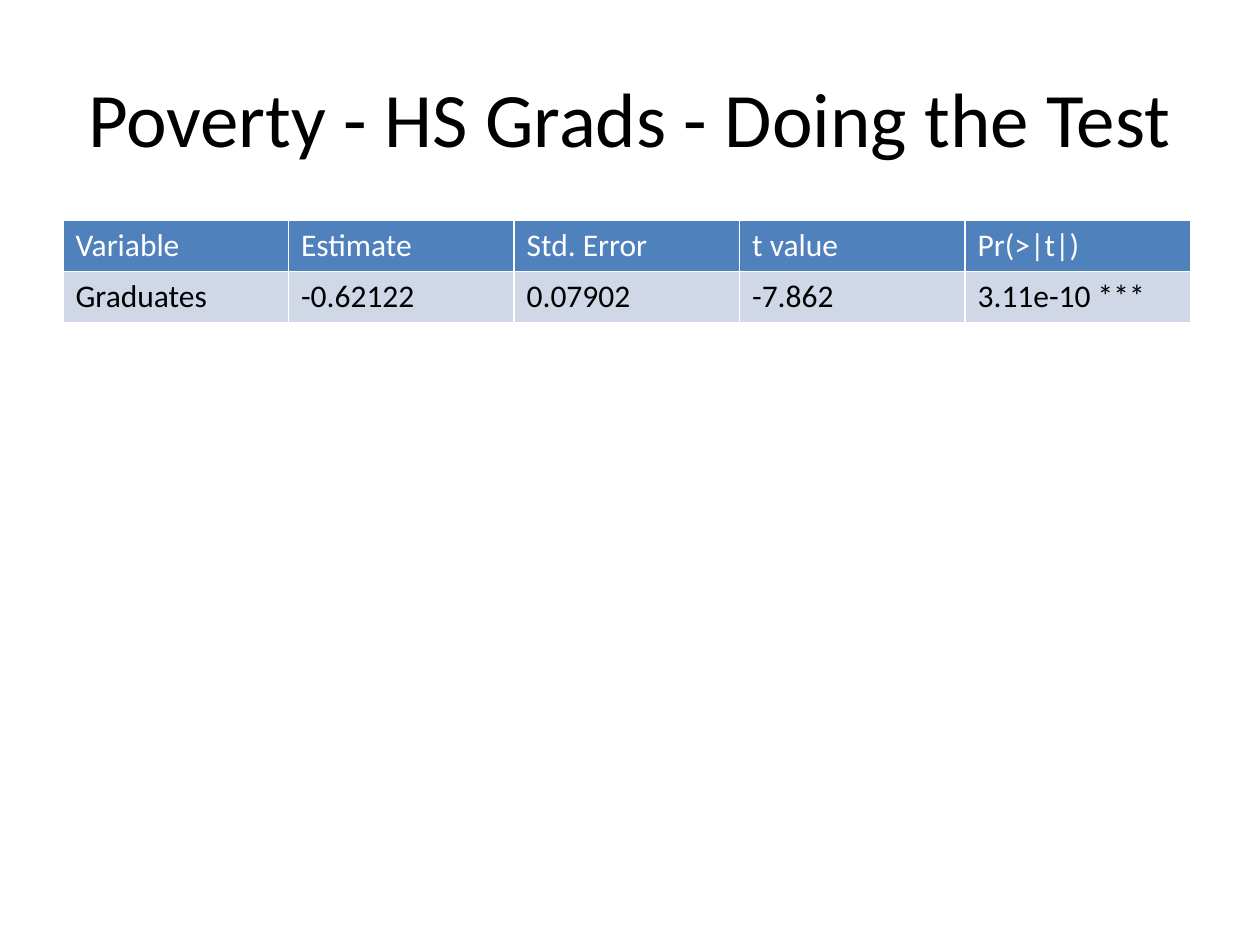
"""Build a slide with the regression test for poverty and graduates."""
from pptx import Presentation
from pptx.dml.color import RGBColor as Rgb
from pptx.enum.text import MSO_ANCHOR as Anchor, PP_ALIGN as Align
from pptx.util import Inches, Pt

BLACK = Rgb(0x00, 0x00, 0x00)
WHITE = Rgb(0xFF, 0xFF, 0xFF)
BLUE = Rgb(0x4F, 0x81, 0xBD)
PALE = Rgb(0xD0, 0xD8, 0xE8)
FONT = "Calibri"

ROWS = [
    ["Variable", "Estimate", "Std. Error", "t value", "Pr(>|t|)"],
    ["Graduates", "-0.62122", "0.07902", "-7.862", "3.11e-10 ***"],
]


def write(frame, text, size=18, color=BLACK, align=Align.LEFT):
    """Put formatted text in a frame."""
    para = frame.paragraphs[0]
    para.alignment = align
    run = para.add_run()
    run.text = text
    font = run.font
    font.name, font.size, font.bold = FONT, Pt(size), False
    font.color.rgb = color


def add_title(slide, text, left, top, width, height):
    """Place the slide title in its box."""
    title = slide.shapes.title
    title.left, title.top = Inches(left), Inches(top)
    title.width, title.height = Inches(width), Inches(height)
    title.text_frame.vertical_anchor = Anchor.MIDDLE
    write(title.text_frame, text, size=44, align=Align.CENTER)


def add_grid(slide, rows, left, top, width, height):
    """Place a table with a blue header row and equal columns."""
    shape = slide.shapes.add_table(
        len(rows), len(rows[0]),
        Inches(left), Inches(top), Inches(width), Inches(height))
    for r, row in enumerate(rows):
        fill, color = (PALE, BLACK) if r else (BLUE, WHITE)
        for c, text in enumerate(row):
            cell = shape.table.cell(r, c)
            cell.fill.solid()
            cell.fill.fore_color.rgb = fill
            write(cell.text_frame, text, color=color)


def main():
    """Build and save the slide."""
    deck = Presentation()
    deck.slide_width, deck.slide_height = Inches(10), Inches(7.5)
    slide = deck.slides.add_slide(deck.slide_layouts[5])
    add_title(slide, "Poverty - HS Grads - Doing the Test", 0.5, 0.3, 9, 1.25)
    add_grid(slide, ROWS, 0.5, 1.75, 8.95, 0.81)
    deck.save("out.pptx")


main()
